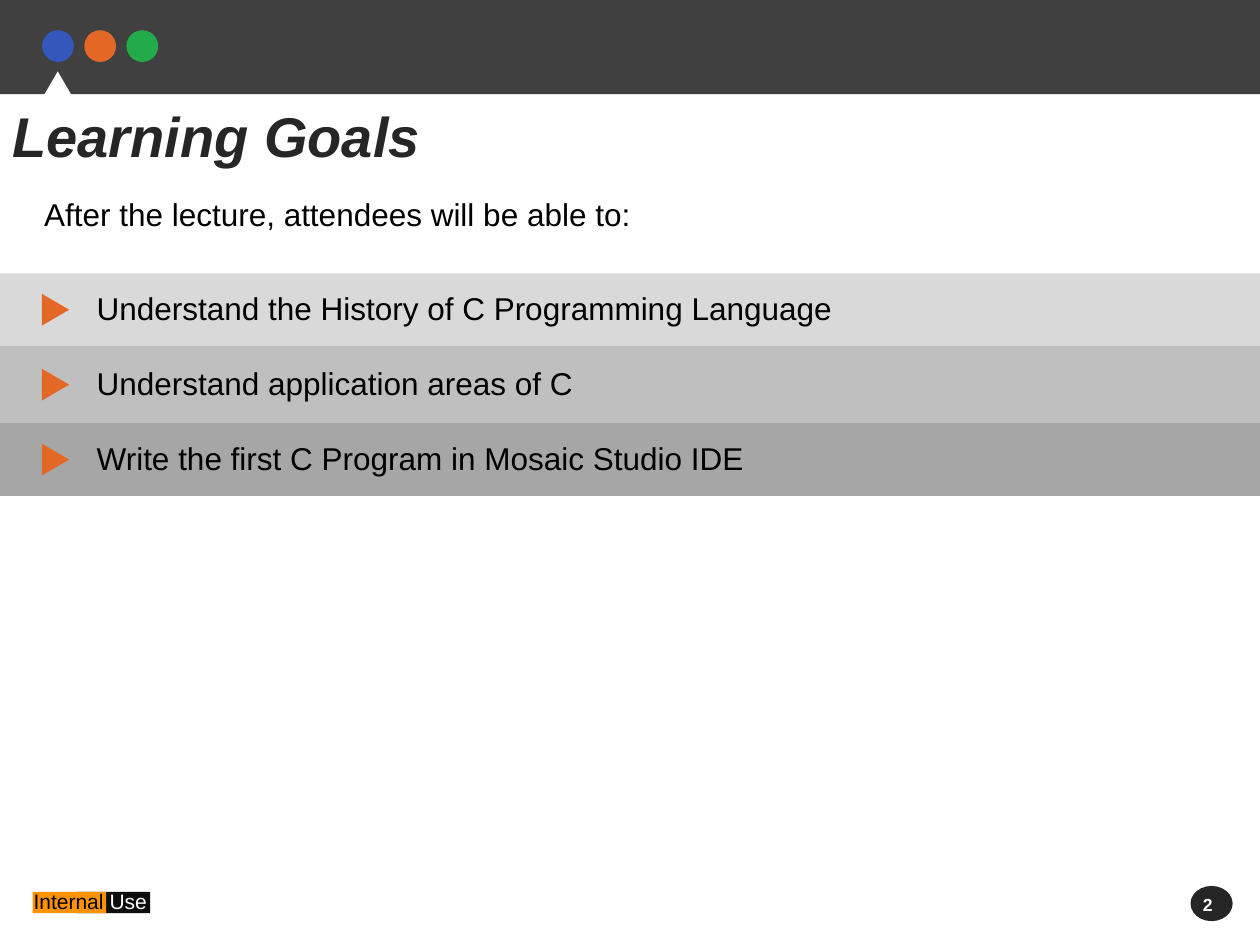
from pptx import Presentation
from pptx.dml.color import RGBColor
from pptx.enum.shapes import MSO_SHAPE
from pptx.enum.text import MSO_ANCHOR
from pptx.util import Cm, Pt

RECT, OVAL, TRIANGLE = MSO_SHAPE.RECTANGLE, MSO_SHAPE.OVAL, MSO_SHAPE.ISOSCELES_TRIANGLE
MIDDLE = MSO_ANCHOR.MIDDLE
FONT = "Arial"
BLACK, WHITE, DARK, ORANGE = "000000", "FFFFFF", "262626", "E46825"

TITLE = "Learning Goals"
INTRO = "After the lecture, attendees will be able to:"
GOALS = [  # text, band colour, band height in cm
    ("Understand the History of C Programming Language", "D9D9D9", 1.47),
    ("Understand application areas of C", "BFBFBF", 1.55),
    ("Write the first C Program in Mosaic Studio IDE", "A6A6A6", 1.47),
]
DOTS = ["3357BB", ORANGE, "23AA4A"]
LABEL = [("Internal ", BLACK), ("Use", WHITE)]
PAGE = "2"

SLIDE_W, SLIDE_H = 25.4, 19.05
DOT_SIZE, DOT_STEP = 0.64, 0.85
BANDS_TOP = 5.51
MARKER_W, MARKER_H = 0.64, 0.55
GOAL_LEFT, GOAL_H = 1.7, 1.02


def rgb(color):
    return RGBColor.from_string(color)


def add_shape(s, kind, x, y, w, h, color, rotation=0):
    sp = s.shapes.add_shape(kind, Cm(x), Cm(y), Cm(w), Cm(h))
    sp.shadow.inherit = False
    sp.fill.solid()
    sp.fill.fore_color.rgb = rgb(color)
    sp.line.fill.background()
    sp.rotation = rotation
    return sp


def add_text(s, text, x, y, w, h, size=18, color=BLACK, bold=False, italic=False):
    """Add a text box; text is a string or a list of (text, colour) runs."""
    tf = s.shapes.add_textbox(Cm(x), Cm(y), Cm(w), Cm(h)).text_frame
    tf.word_wrap = True
    tf.vertical_anchor = MIDDLE
    p = tf.paragraphs[0]
    for part, part_color in [(text, color)] if isinstance(text, str) else text:
        r = p.add_run()
        r.text = part
        r.font.name = FONT
        r.font.size = Pt(size)
        r.font.bold = bold
        r.font.italic = italic
        r.font.color.rgb = rgb(part_color)


def add_header(s):
    add_shape(s, RECT, 0, 0, SLIDE_W, 1.9, "404040")
    for i, color in enumerate(DOTS):
        add_shape(s, OVAL, 0.85 + i * DOT_STEP, 0.61, DOT_SIZE, DOT_SIZE, color)
    add_shape(s, TRIANGLE, 0.43, 1.44, 1.47, 1.27, WHITE)


def add_goals(s):
    top = BANDS_TOP
    for text, color, height in GOALS:
        middle = top + height / 2
        add_shape(s, RECT, 0, top, SLIDE_W, height, color)
        add_shape(s, TRIANGLE, 0.8, middle - MARKER_H / 2, MARKER_W, MARKER_H, ORANGE, rotation=90)
        add_text(s, text, GOAL_LEFT, middle - GOAL_H / 2 - 0.04, SLIDE_W - GOAL_LEFT, GOAL_H)
        top += height


def add_footer(s):
    add_shape(s, RECT, 1.55, 17.98, 1.48, 0.43, "0D0D0D")
    add_shape(s, RECT, 0.66, 17.98, 1.48, 0.43, "FD9203")
    add_text(s, LABEL, 0.43, 17.78, 3.81, 0.76, size=12)
    add_shape(s, OVAL, 24, 17.86, 0.85, 0.71, DARK)
    add_text(s, PAGE, 24, 17.89, 1.2, 0.68, size=10, color=WHITE, bold=True)


def main():
    prs = Presentation()
    prs.slide_width, prs.slide_height = Cm(SLIDE_W), Cm(SLIDE_H)
    s = prs.slides.add_slide(prs.slide_layouts[6])
    add_header(s)
    add_text(s, TITLE, 0, 1.9, 11.86, 1.63, size=32, color=DARK, bold=True, italic=True)
    add_text(s, INTRO, 0.64, 3.81, 15.24, 1.02)
    add_goals(s)
    add_footer(s)
    prs.save("out.pptx")


if __name__ == "__main__":
    main()
